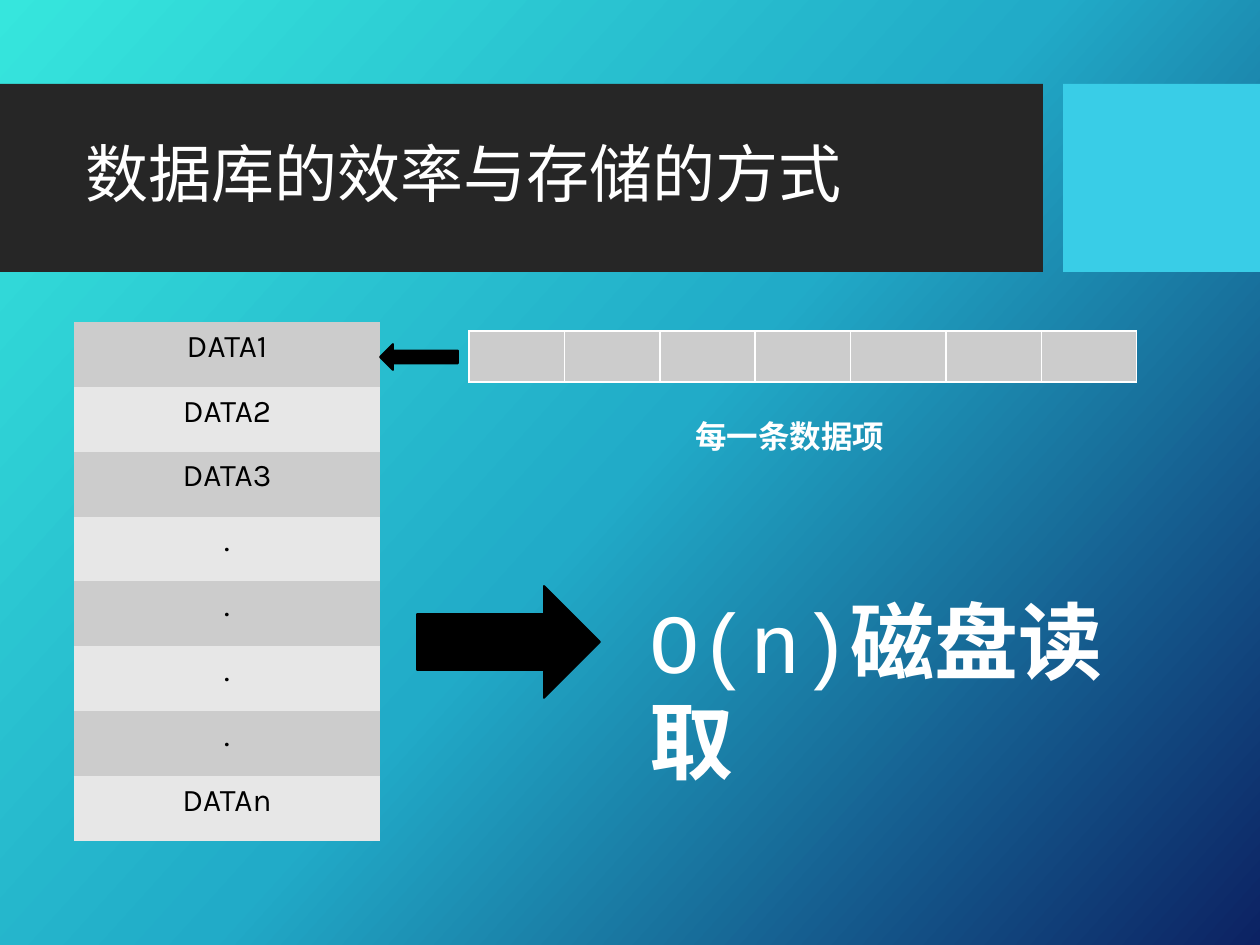
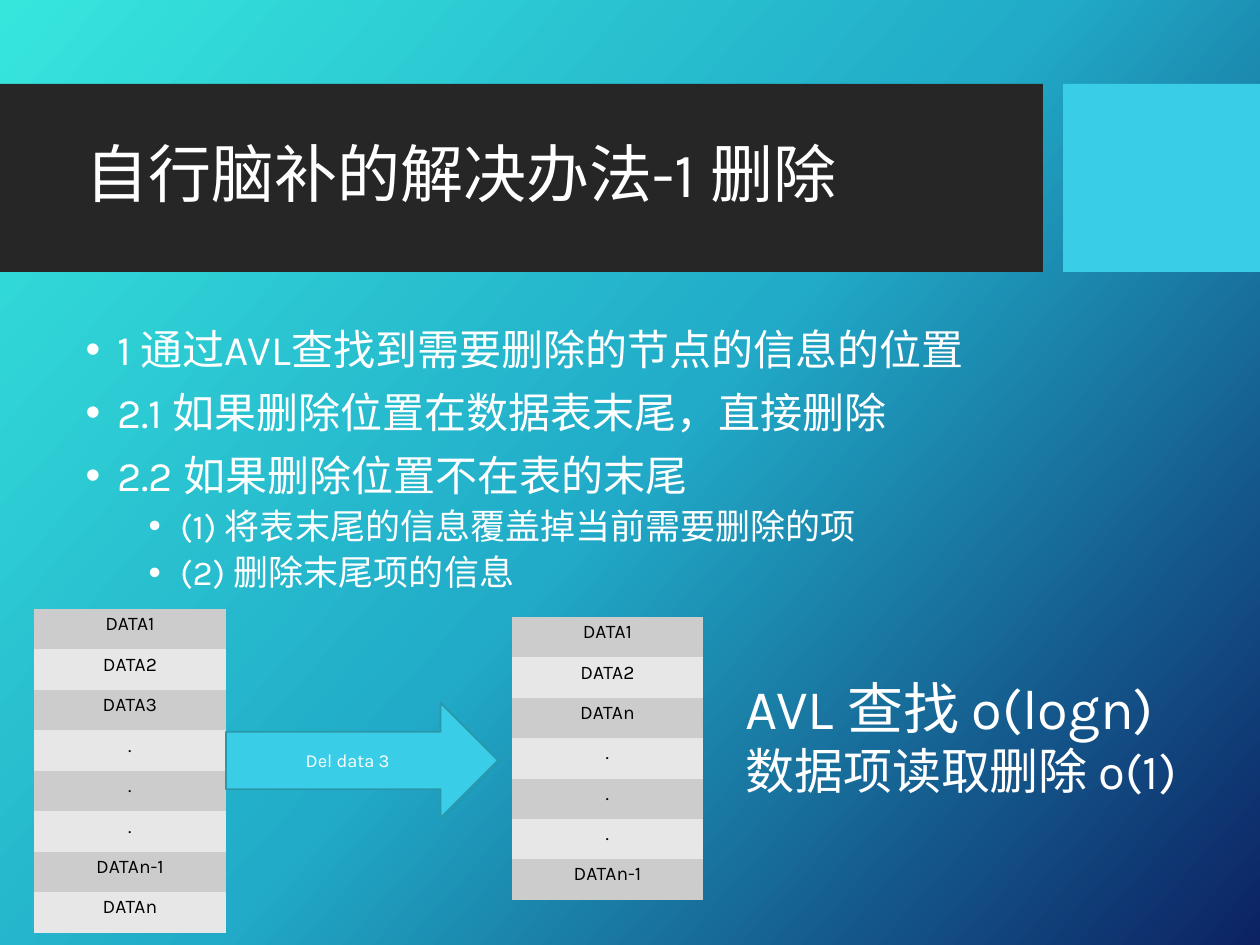
import copy
import dataclasses

import lxml.etree
import pptx
import pptx.dml.color
import pptx.enum.shapes
import pptx.enum.text
import pptx.oxml.ns
import pptx.util

SCALE = 914400 / 126
SHAPE = pptx.enum.shapes.MSO_SHAPE
ALIGN = pptx.enum.text.PP_ALIGN
ANCHOR = pptx.enum.text.MSO_ANCHOR
FIT = pptx.enum.text.MSO_AUTO_SIZE
qn = pptx.oxml.ns.qn


@dataclasses.dataclass(frozen=True)
class Theme:
    font: str = "Karla"
    code: str = "Courier New"
    white: str = "FFFFFF"
    black: str = "000000"
    band: str = "262626"
    cyan: str = "39CDE7"
    edge: str = "2A98AB"
    rows: tuple = ("CCCCCC", "E7E7E7")
    back: tuple = ("36E6DD", "21ABC8", "0C2263")
    angle: int = 42
    title: int = 36
    list: tuple = (24, 20)
    gaps: tuple = (10, 5)
    huge: int = 48
    large: int = 32
    big: int = 28
    cell: int = 18
    small: int = 11
    tag: float = 10.5


THEME = Theme()
PLAIN = "{2D5ABB26-0587-4C30-8999-92F81FD0307C}"


def px(*marks):
    return [pptx.util.Emu(round(mark * SCALE)) for mark in marks]


def rgb(code):
    return pptx.dml.color.RGBColor.from_string(code)


def write(par, text, size, color=THEME.white, font=THEME.font, bold=False,
          align=ALIGN.LEFT, line=None, before=None):
    par.alignment = align
    if line:
        par.line_spacing = line
    if before is not None:
        par.space_before = pptx.util.Pt(before)
    run = par.add_run()
    run.text = text
    run.font.size = pptx.util.Pt(size)
    run.font.name = font
    run.font.bold = bold
    run.font.color.rgb = rgb(color)


def place(shape, box):
    shape.left, shape.top, shape.width, shape.height = px(*box)


def paint(master):
    fill = master.background.fill
    fill.gradient()
    fill.gradient_angle = 360 - THEME.angle
    stops = next(master.element.iter(qn("a:gsLst")))
    stops.insert(1, copy.deepcopy(stops[0]))
    last = len(THEME.back) - 1
    for at, (stop, color) in enumerate(zip(fill.gradient_stops, THEME.back)):
        stop.position = at / last
        stop.color.rgb = rgb(color)


def draw(slide, kind, box, color, edge=None):
    shape = slide.shapes.add_shape(kind, *px(*box))
    shape.shadow.inherit = False
    shape.fill.solid()
    shape.fill.fore_color.rgb = rgb(color)
    if edge:
        shape.line.color.rgb = rgb(edge)
        shape.line.width = pptx.util.Pt(1)
    else:
        shape.line.fill.background()
    return shape


def start(deck, layout, title):
    slide = deck.slides.add_slide(deck.slide_layouts[layout])
    tree = slide.shapes.element
    bands = ((0, 84, 1043, 188), THEME.band), ((1063, 84, 197, 188), THEME.cyan)
    for at, (box, color) in enumerate(bands, 2):
        tree.insert(at, draw(slide, SHAPE.RECTANGLE, box, color).element)
    head = slide.shapes.title
    place(head, (73, 103, 950, 149))
    frame = head.text_frame
    frame.auto_size = FIT.NONE
    frame.vertical_anchor = ANCHOR.MIDDLE
    write(frame.paragraphs[0], title, THEME.title, line=0.9)
    return slide


def label(slide, box, wrap=True):
    frame = slide.shapes.add_textbox(*px(*box)).text_frame
    frame.word_wrap = wrap
    return frame


def items(slide, box, lines):
    body = slide.placeholders[1]
    place(body, box)
    frame = body.text_frame
    frame.auto_size = FIT.NONE
    frame.vertical_anchor = ANCHOR.TOP
    for at, (level, text) in enumerate(lines):
        par = frame.add_paragraph() if at else frame.paragraphs[0]
        par.level = level
        write(par, text, THEME.list[level], line=0.9, before=THEME.gaps[level])
        props = par._p.get_or_add_pPr()
        props.set("marL", str(228600 + 457200 * level))
        props.set("indent", "-228600")
        lxml.etree.SubElement(props, qn("a:buFont")).set("typeface", "Arial")
        lxml.etree.SubElement(props, qn("a:buChar")).set("char", "•")


def grid(slide, box, rows, cols):
    table = slide.shapes.add_table(rows, cols, *px(*box)).table
    table.first_row = table.horz_banding = False
    next(table._tbl.iter(qn("a:tableStyleId"))).text = PLAIN
    for col in table.columns:
        col.width = px(box[2] / cols)[0]
    for at, row in enumerate(table.rows):
        row.height = px(box[3] / rows)[0]
        for cell in row.cells:
            cell.fill.solid()
            cell.fill.fore_color.rgb = rgb(THEME.rows[at % 2])
    return table


def stack(slide, box, names, size, pad=None):
    table = grid(slide, box, len(names), 1)
    for at, name in enumerate(names):
        cell = table.cell(at, 0)
        if pad:
            side, edge = px(*pad)
            cell.margin_left = cell.margin_right = side
            cell.margin_top = cell.margin_bottom = edge
        write(cell.text_frame.paragraphs[0], name, size, THEME.black,
              align=ALIGN.CENTER)


def strip(slide, box, cols):
    for cell in grid(slide, box, 1, cols).iter_cells():
        props = cell._tc.get_or_add_tcPr()
        for at, side in enumerate(("lnL", "lnR", "lnT", "lnB")):
            line = lxml.etree.Element(qn("a:" + side), w="12700")
            fill = lxml.etree.SubElement(line, qn("a:solidFill"))
            lxml.etree.SubElement(fill, qn("a:srgbClr")).set("val", THEME.white)
            props.insert(at, line)


def cost(deck):
    slide = start(deck, 5, "数据库的效率与存储的方式")
    names = ["DATA1", "DATA2", "DATA3", *"....", "DATAn"]
    stack(slide, (74, 322, 306, 519), names, THEME.cell)
    strip(slide, (469, 331, 668, 51), 7)
    note = label(slide, (683, 411, 217, 50), wrap=False)
    write(note.paragraphs[0], "每一条数据项", THEME.cell, bold=True)
    draw(slide, SHAPE.LEFT_ARROW, (380, 344, 78, 26), THEME.black, THEME.black)
    draw(slide, SHAPE.RIGHT_ARROW, (417, 586, 183, 112), THEME.black, THEME.black)
    par = label(slide, (637, 583, 553, 115)).paragraphs[0]
    write(par, "O(n)", THEME.huge, font=THEME.code)
    write(par, "磁盘读取", THEME.huge, font=THEME.code, bold=True)


def erase(deck):
    slide = start(deck, 1, "自行脑补的解决办法-1 删除")
    items(slide, (73, 323, 949, 496), [
        (0, "1 通过AVL查找到需要删除的节点的信息的位置"),
        (0, "2.1 如果删除位置在数据表末尾，直接删除"),
        (0, "2.2 如果删除位置不在表的末尾"),
        (1, "(1) 将表末尾的信息覆盖掉当前需要删除的项"),
        (1, "(2) 删除末尾项的信息"),
    ])
    note = label(slide, (733, 667, 471, 140))
    write(note.paragraphs[0], "AVL 查找 o(logn)", THEME.large)
    write(note.add_paragraph(), "数据项读取删除 o(1)", THEME.big)
    old = ["DATA1", "DATA2", "DATA3", *"...", "DATAn-1", "DATAn"]
    new = ["DATA1", "DATA2", "DATAn", *"...", "DATAn-1"]
    stack(slide, (34, 609, 192, 324), old, THEME.small, pad=(8, 4))
    stack(slide, (512, 617, 191, 283), new, THEME.small, pad=(8, 4))
    arrow = draw(slide, SHAPE.RIGHT_ARROW, (226, 703, 272, 115),
                 THEME.cyan, THEME.edge)
    arrow.text_frame.vertical_anchor = ANCHOR.MIDDLE
    write(arrow.text_frame.paragraphs[0], "Del data 3", THEME.tag,
          align=ALIGN.CENTER)


def main():
    deck = pptx.Presentation()
    deck.slide_width, deck.slide_height = px(1260, 945)
    paint(deck.slide_master)
    cost(deck)
    erase(deck)
    deck.save("out.pptx")


if __name__ == "__main__":
    main()
